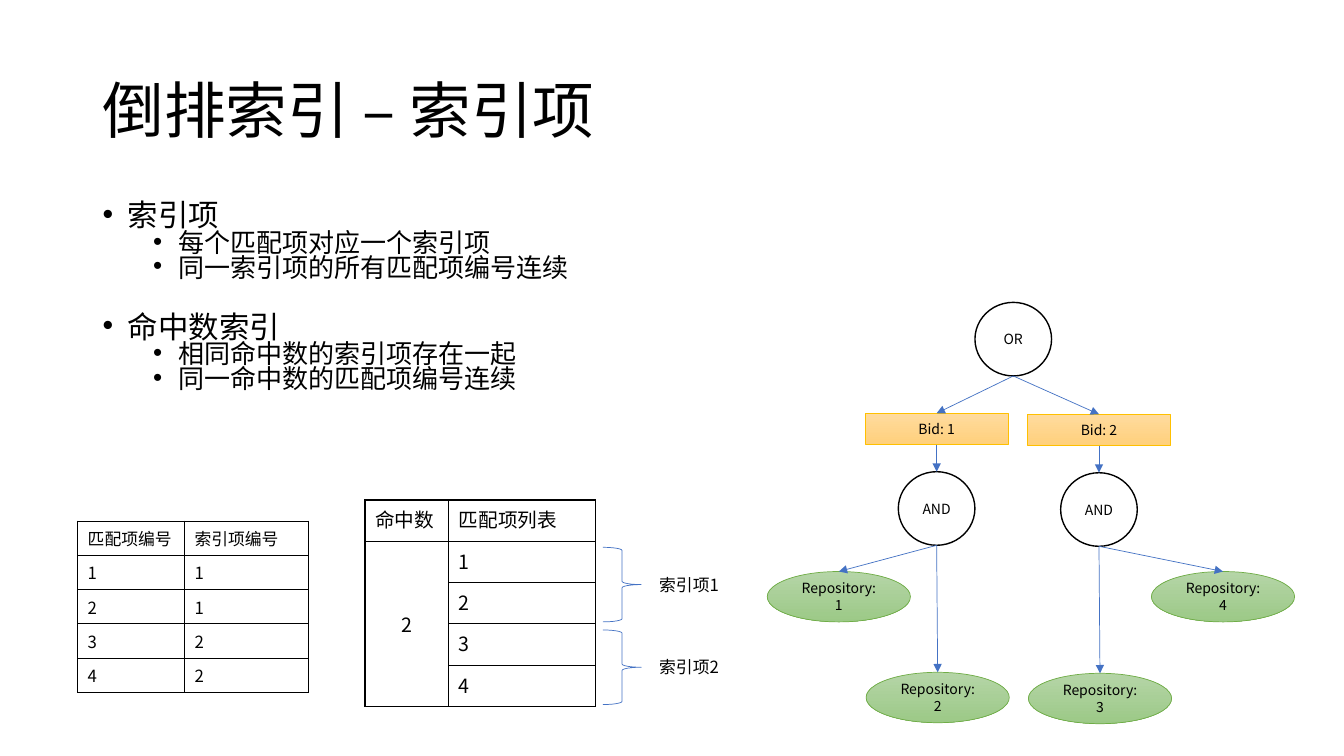
from dataclasses import dataclass
from typing import Any, Optional

from lxml.etree import SubElement
from pptx import Presentation
from pptx.dml.color import RGBColor
from pptx.enum.shapes import MSO_CONNECTOR, MSO_SHAPE
from pptx.enum.text import MSO_ANCHOR, PP_ALIGN
from pptx.oxml.ns import qn
from pptx.util import Inches, Pt

FONT = "Noto Sans CJK SC"
BLACK, WHITE, BLUE = "000000", "FFFFFF", "4472C4"


@dataclass
class NodeStyle:
    geometry: MSO_SHAPE
    width: float
    height: float
    fills: tuple[str, ...]
    outline: str
    weight: float


@dataclass
class Node:
    key: str
    style: NodeStyle
    text: str
    left: float
    top: float
    parent: Optional[str] = None


@dataclass
class Grid:
    left: float
    top: float
    widths: tuple[float, ...]
    row_height: float
    size: float
    rows: list[tuple[str, ...]]


@dataclass
class Bullet:
    text: str
    level: int = 0
    before: float = 2


def rgb(color: str) -> RGBColor:
    return RGBColor.from_string(color)


def apply(target: Any, values: dict[str, Any]) -> None:
    for name, value in values.items():
        setattr(target, name, value)


def write(paragraph: Any, text: str, size: float, **layout: Any) -> None:
    apply(paragraph, layout)
    run = paragraph.add_run()
    run.text = text
    apply(run.font, {"name": FONT, "size": Pt(size), "bold": False})
    run.font.color.rgb = rgb(BLACK)
    SubElement(run.font._element, qn("a:ea"), typeface=FONT)


def add_text_frame(left: float, top: float, width: float, height: float,
                   anchor: MSO_ANCHOR = MSO_ANCHOR.TOP) -> Any:
    box = slide.shapes.add_textbox(Inches(left), Inches(top), Inches(width), Inches(height))
    apply(box.text_frame, {"word_wrap": True, "vertical_anchor": anchor})
    return box.text_frame


def add_bullet(paragraph: Any, bullet: Bullet) -> None:
    write(paragraph, bullet.text, 18.6 if bullet.level else 21.7,
          level=bullet.level, line_spacing=0.7, space_before=Pt(bullet.before))
    properties = paragraph._p.get_or_add_pPr()
    properties.set("marL", str(Inches(0.25 + 0.5 * bullet.level)))
    properties.set("indent", str(Inches(-0.25)))
    SubElement(properties, qn("a:buFont"), typeface="Arial")
    SubElement(properties, qn("a:buChar"), char="•")


def add_node(node: Node) -> Any:
    style = node.style
    shape = slide.shapes.add_shape(style.geometry, Inches(node.left), Inches(node.top),
                                   Inches(style.width), Inches(style.height))
    shape.shadow.inherit = False
    if len(style.fills) == 1:
        shape.fill.solid()
        shape.fill.fore_color.rgb = rgb(style.fills[0])
    else:
        shape.fill.gradient()
        shape.fill.gradient_angle = 270
        for stop, color in zip(shape.fill.gradient_stops, style.fills):
            stop.color.rgb = rgb(color)
    shape.line.color.rgb = rgb(style.outline)
    shape.line.width = Pt(style.weight)
    apply(shape.text_frame, {"word_wrap": True, "vertical_anchor": MSO_ANCHOR.MIDDLE})
    write(shape.text_frame.paragraphs[0], node.text, 10, alignment=PP_ALIGN.CENTER)
    return shape


def add_arrow(parent: Any, child: Any) -> None:
    arrow = slide.shapes.add_connector(
        MSO_CONNECTOR.STRAIGHT, parent.left + parent.width // 2, parent.top + parent.height,
        child.left + child.width // 2, child.top)
    arrow.line.color.rgb = rgb(BLUE)
    arrow.line.width = Pt(0.5)
    SubElement(arrow.line._get_or_add_ln(), qn("a:tailEnd"), type="triangle")
    SubElement(arrow._element.spPr, qn("a:effectLst"))


def add_borders(cell: Any) -> None:
    properties = cell._tc.get_or_add_tcPr()
    for side in ("lnL", "lnR", "lnT", "lnB"):
        border = SubElement(properties, qn(f"a:{side}"), w=str(Pt(1)))
        SubElement(SubElement(border, qn("a:solidFill")), qn("a:srgbClr"), val=BLACK)


def add_grid(grid: Grid) -> Any:
    table = slide.shapes.add_table(
        len(grid.rows), len(grid.widths), Inches(grid.left), Inches(grid.top),
        Inches(sum(grid.widths)), Inches(grid.row_height * len(grid.rows))).table
    apply(table, {"first_row": False, "horz_banding": False})
    for column, width in zip(table.columns, grid.widths):
        column.width = Inches(width)
    for r, texts in enumerate(grid.rows):
        table.rows[r].height = Inches(grid.row_height)
        for c, text in enumerate(texts):
            cell = table.cell(r, c)
            add_borders(cell)
            cell.fill.background()
            if text:
                write(cell.text_frame.paragraphs[0], text, grid.size)
    return table


presentation = Presentation()
apply(presentation, {"slide_width": Inches(13.33), "slide_height": Inches(7.5)})
slide = presentation.slides.add_slide(presentation.slide_layouts[6])

# Title
title = add_text_frame(0.92, 0.4, 11.5, 1.45, MSO_ANCHOR.MIDDLE)
write(title.paragraphs[0], "倒排索引 – 索引项", 44, line_spacing=0.9)

# Matching tree
CIRCLE = NodeStyle(MSO_SHAPE.OVAL, 0.76, 0.73, (WHITE,), BLACK, 1)
BID = NodeStyle(MSO_SHAPE.RECTANGLE, 1.42, 0.31, ("FFDB9E", "FFD07C"), "FFC000", 0.5)
REPOSITORY = NodeStyle(MSO_SHAPE.OVAL, 1.42, 0.5, ("B5D5A7", "9CC987"), "70AD47", 0.5)
TREE = [
    Node("or", CIRCLE, "OR", 9.67, 3),
    Node("bid1", BID, "Bid: 1", 8.58, 4.1, "or"),
    Node("bid2", BID, "Bid: 2", 10.19, 4.11, "or"),
    Node("and1", CIRCLE, "AND", 8.91, 4.68, "bid1"),
    Node("and2", CIRCLE, "AND", 10.52, 4.69, "bid2"),
    Node("repo1", REPOSITORY, "Repository: 1", 7.61, 5.67, "and1"),
    Node("repo2", REPOSITORY, "Repository: 2", 8.59, 6.67, "and1"),
    Node("repo3", REPOSITORY, "Repository: 3", 10.2, 6.68, "and2"),
    Node("repo4", REPOSITORY, "Repository: 4", 11.42, 5.67, "and2"),
]
drawn = {node.key: add_node(node) for node in TREE}
for node in TREE:
    if node.parent:
        add_arrow(drawn[node.parent], drawn[node.key])

# Index tables
add_grid(Grid(0.77, 5.17, (1.06, 1.23), 0.34, 12, [
    ("匹配项编号", "索引项编号"), ("1", "1"), ("2", "1"), ("3", "2"), ("4", "2")]))
hits = add_grid(Grid(3.62, 4.96, (0.83, 1.46), 0.41, 14, [
    ("命中数", "匹配项列表"), ("2", "1"), ("", "2"), ("", "3"), ("", "4")]))
hit_count = hits.cell(1, 0)
hit_count.merge(hits.cell(4, 0))
hit_count.vertical_anchor = MSO_ANCHOR.MIDDLE
hit_count.text_frame.paragraphs[0].alignment = PP_ALIGN.CENTER

# Braces with index entry labels
for i, entry in enumerate(("索引项1", "索引项2")):
    top = 5.43 + 0.82 * i
    brace = slide.shapes.add_shape(MSO_SHAPE.RIGHT_BRACE, Inches(5.98), Inches(top),
                                   Inches(0.38), Inches(0.74))
    brace.shadow.inherit = False
    brace.fill.background()
    brace.line.color.rgb = rgb(BLUE)
    brace.line.width = Pt(0.5)
    write(add_text_frame(6.44, top + 0.22, 0.86, 0.3).paragraphs[0], entry, 12)

# Bullets
BULLETS = [
    Bullet("索引项", before=0),
    Bullet("每个匹配项对应一个索引项", 1),
    Bullet("同一索引项的所有匹配项编号连续", 1),
    Bullet("命中数索引", before=26),
    Bullet("相同命中数的索引项存在一起", 1),
    Bullet("同一命中数的匹配项编号连续", 1),
]
body = add_text_frame(0.92, 2, 7.01, 2.23)
for i, bullet in enumerate(BULLETS):
    add_bullet(body.add_paragraph() if i else body.paragraphs[0], bullet)

presentation.save("out.pptx")
